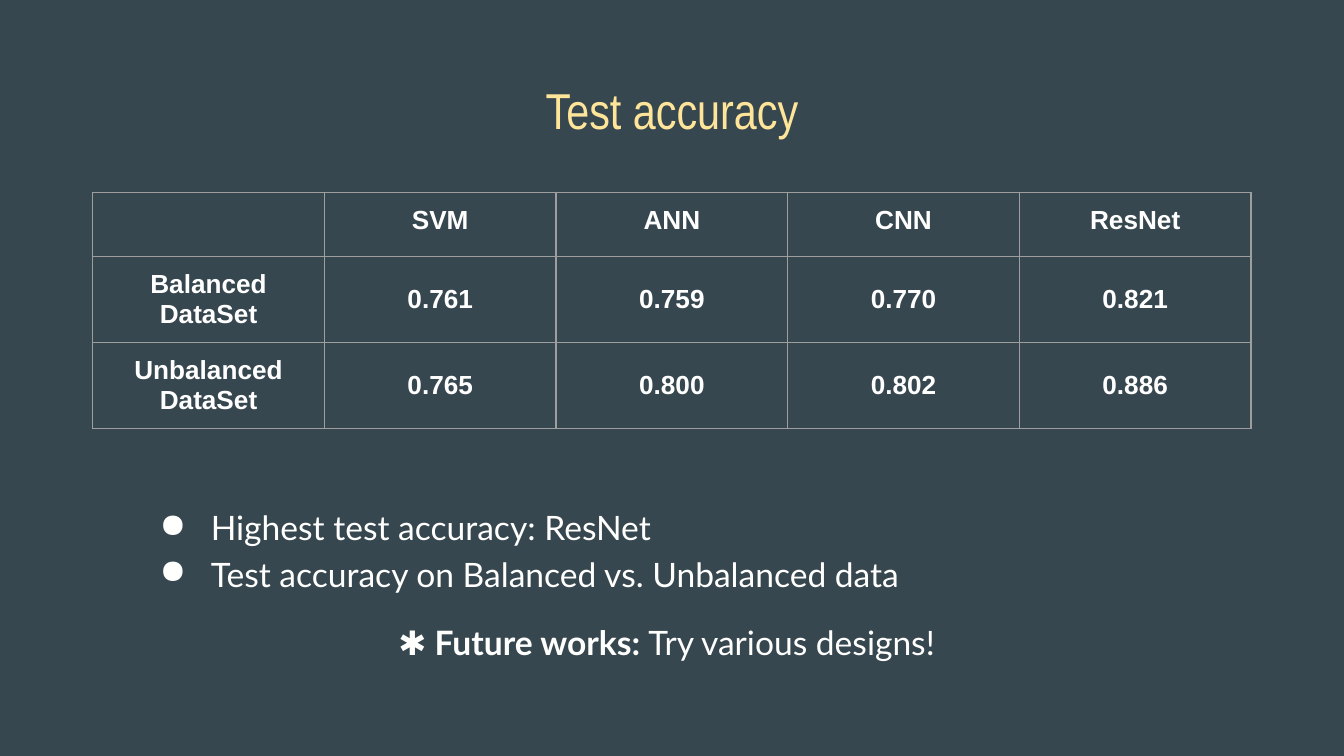
from lxml import etree
from pptx import Presentation
from pptx.dml.color import RGBColor
from pptx.enum import text
from pptx.oxml import ns
from pptx.util import Inches, Pt

TITLE = "Test accuracy"
ROWS = [
    ["", "SVM", "ANN", "CNN", "ResNet"],
    ["Balanced DataSet", "0.761", "0.759", "0.770", "0.821"],
    ["Unbalanced DataSet", "0.765", "0.800", "0.802", "0.886"],
]
FINDINGS = [
    "Highest test accuracy: ResNet",
    "Test accuracy on Balanced vs. Unbalanced data",
]
FUTURE = [("✱ Future works: ", True), ("Try various designs!", False)]

TABLE_WIDTH = 8.62
ROW_HEIGHTS = [0.48, 0.64, 0.64]
BACKGROUND, YELLOW, WHITE, GREY = "37474F", "FFE599", "FFFFFF", "9E9E9E"
BODY_WHITE = "FFFFFE"


def style(font, name, size, color, bold=None):
    font.name, font.size, font.bold = name, Pt(size), bold
    font.color.rgb = RGBColor.from_string(color)


def add_color(parent, tag, color):
    holder = etree.SubElement(parent, ns.qn(tag))
    etree.SubElement(holder, ns.qn("a:srgbClr"), val=color)


def add_borders(cell):
    props = cell._tc.get_or_add_tcPr()
    for side in ("a:lnL", "a:lnR", "a:lnT", "a:lnB"):
        line = etree.SubElement(props, ns.qn(side), w=str(Pt(0.75)))
        add_color(line, "a:solidFill", GREY)


def add_bullet(para):
    props = para._p.get_or_add_pPr()
    props.set("marL", str(Inches(0.5)))
    props.set("indent", str(Inches(-0.38)))
    add_color(props, "a:buClr", BODY_WHITE)
    etree.SubElement(props, ns.qn("a:buChar"), char="●")


def set_margins(target):
    target.margin_left = target.margin_right = Inches(0.1)
    target.margin_top = target.margin_bottom = Inches(0.1)


deck = Presentation()
deck.slide_width = Inches(10)
deck.slide_height = deck.slide_width * 9 // 16
page = deck.slides.add_slide(deck.slide_layouts[5])
page.background.fill.solid()
page.background.fill.fore_color.rgb = RGBColor.from_string(BACKGROUND)

title = page.shapes.title
title.left, title.top = Inches(0.34), Inches(0.49)
title.width, title.height = Inches(9.32), Inches(0.63)
title.text_frame.text = TITLE
title.text_frame.vertical_anchor = text.MSO_ANCHOR.TOP
set_margins(title.text_frame)
heading = title.text_frame.paragraphs[0]
heading.alignment = text.PP_ALIGN.CENTER
style(heading.font, "Arial Narrow", 27, YELLOW)

table = page.shapes.add_table(
    len(ROWS), len(ROWS[0]), Inches(0.69), Inches(1.43),
    Inches(TABLE_WIDTH), Inches(sum(ROW_HEIGHTS))).table
table.first_row = table.horz_banding = False
for r, (values, height) in enumerate(zip(ROWS, ROW_HEIGHTS)):
    table.rows[r].height = Inches(height)
    for c, value in enumerate(values):
        cell = table.cell(r, c)
        cell.text = value
        set_margins(cell)
        if r and c:
            cell.vertical_anchor = text.MSO_ANCHOR.MIDDLE
        add_borders(cell)
        cell.fill.background()
        para = cell.text_frame.paragraphs[0]
        para.alignment = text.PP_ALIGN.CENTER
        style(para.font, "Arial", 14, WHITE, True)

box = page.shapes.add_textbox(Inches(0.97), Inches(3.63), Inches(7.98), Inches(1.55))
frame = box.text_frame
frame.word_wrap = True
set_margins(frame)
frame.text = "\n".join(FINDINGS)
for para in frame.paragraphs:
    para.line_spacing = 1.15
    add_bullet(para)
    style(para.font, "Lato", 18, BODY_WHITE)

future = frame.add_paragraph()
future.alignment = text.PP_ALIGN.CENTER
future.line_spacing = 1.15
future.space_before = future.space_after = Pt(12)
style(future.font, "Lato", 18, BODY_WHITE)
for words, bold in FUTURE:
    span = future.add_run()
    span.text, span.font.bold = words, bold

deck.save("out.pptx")
